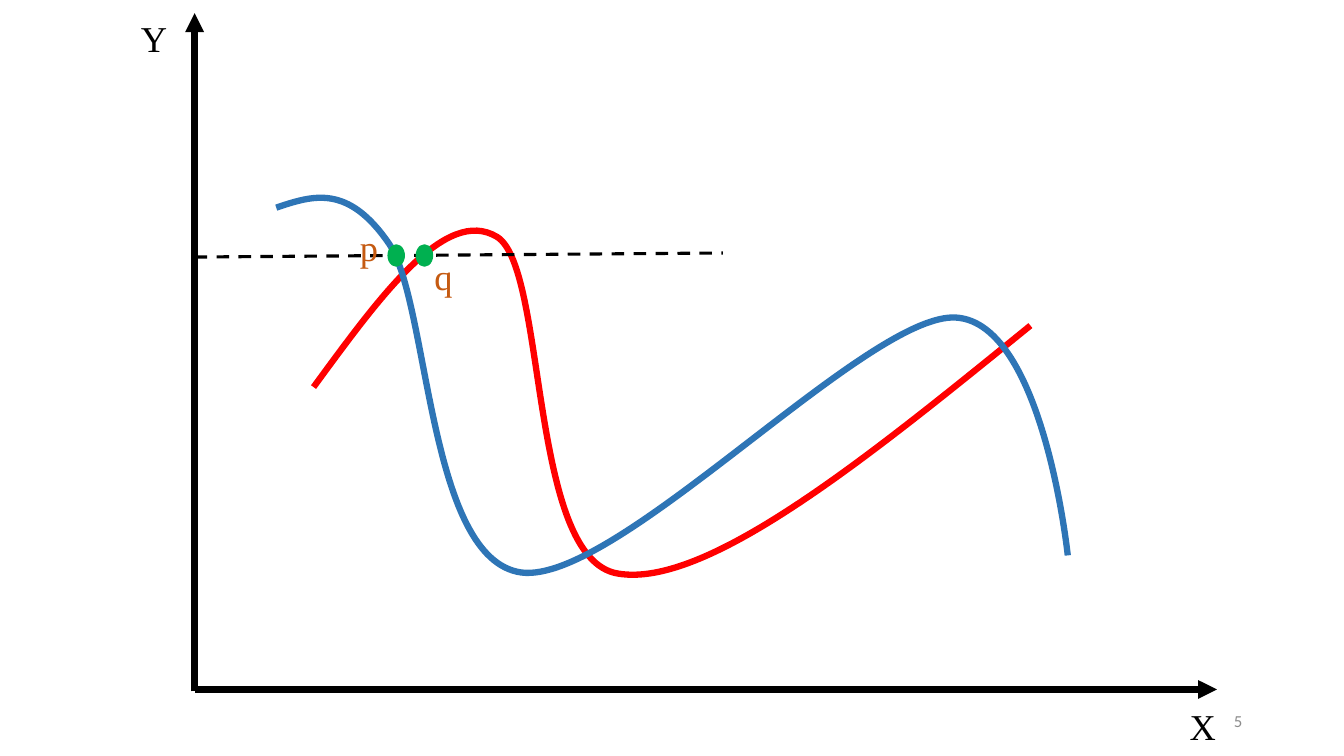
from dataclasses import dataclass

from lxml.etree import SubElement
from pptx import Presentation
from pptx.dml.color import RGBColor
from pptx.enum.dml import MSO_LINE
from pptx.enum.shapes import MSO_CONNECTOR, MSO_SHAPE
from pptx.enum.text import MSO_ANCHOR, PP_ALIGN
from pptx.oxml.ns import qn
from pptx.util import Inches, Pt


@dataclass(frozen=True)
class Theme:
    axis: str = "000000"
    first_curve: str = "FF0000"
    second_curve: str = "2E75B6"
    point: str = "00B050"
    point_label: str = "C55A11"
    muted: str = "8C8C8C"
    label_font: str = "Times New Roman"
    number_font: str = "Calibri"
    label_size: float = 26
    number_size: float = 12
    heavy_line: float = 4.5
    guide_line: float = 2.25
    point_line: float = 1


@dataclass(frozen=True)
class Box:
    left: float
    top: float
    width: float
    height: float

    def place(self, x, y):
        return Inches(self.left + x), Inches(self.top + y)


THEME = Theme()
PLOT = Box(1.93, 0.13, 10.14, 6.71)
NUMBER = Box(9.42, 6.95, 3, 0.4)
LABEL_SIZE = Inches(0.56), Inches(0.54)
POINT_SIZE = Inches(0.16), Inches(0.21)
CURVE_STEPS = 40

FIRST_CURVE = [
    (1.18, 3.71),
    (1.84, 2.81), (2.49, 1.91), (3, 2.22),
    (3.5, 2.53), (3.31, 5.42), (4.2, 5.56),
    (5.08, 5.71), (6.69, 4.4), (8.29, 3.1),
]
SECOND_CURVE = [
    (0.81, 1.93),
    (1.17, 1.81), (1.52, 1.69), (1.93, 2.29),
    (2.33, 2.89), (2.31, 5.42), (3.24, 5.55),
    (4.17, 5.67), (6.6, 3.05), (7.51, 3.02),
    (8.41, 3), (8.66, 5.38), (8.66, 5.38),
]


def add_text(slide, text, left, top, width, height, *, font, size, color,
             align=PP_ALIGN.LEFT, anchor=MSO_ANCHOR.TOP):
    shape = slide.shapes.add_textbox(left, top, width, height)
    frame = shape.text_frame
    frame.word_wrap = True
    frame.vertical_anchor = anchor
    paragraph = frame.paragraphs[0]
    paragraph.text = text
    paragraph.alignment = align
    paragraph.font.name = font
    paragraph.font.size = Pt(size)
    paragraph.font.color.rgb = RGBColor.from_string(color)


def format_line(line, color, width):
    line.color.rgb = RGBColor.from_string(color)
    line.width = Pt(width)


def add_line(slide, start, end, width, *, arrow=False, dash=None):
    connector = slide.shapes.add_connector(MSO_CONNECTOR.STRAIGHT, *start, *end)
    format_line(connector.line, THEME.axis, width)
    if dash:
        connector.line.dash_style = dash
    properties = connector._element.spPr
    if arrow:
        SubElement(properties.find(qn("a:ln")), qn("a:tailEnd"), type="triangle")
    SubElement(properties, qn("a:effectLst"))


def bezier_point(controls, t):
    weights = ((1 - t) ** 3, 3 * t * (1 - t) ** 2, 3 * t ** 2 * (1 - t), t ** 3)
    return tuple(
        round(sum(weight * value for weight, value in zip(weights, axis)))
        for axis in zip(*controls)
    )


def add_curve(slide, box, points, color):
    controls = [box.place(x, y) for x, y in points]
    starts = range(0, len(controls) - 1, 3)
    outline = [
        bezier_point(controls[start:start + 4], step / CURVE_STEPS)
        for start in starts
        for step in range(1, CURVE_STEPS + 1)
    ]
    builder = slide.shapes.build_freeform(*controls[0])
    builder.add_line_segments(outline, close=False)
    shape = builder.convert_to_shape()
    shape.shadow.inherit = False
    shape.fill.background()
    format_line(shape.line, color, THEME.heavy_line)
    geometry = next(shape._element.iter(qn("a:path")))
    for segment in geometry.findall(qn("a:lnTo")):
        geometry.remove(segment)
    for start in starts:
        bezier = SubElement(geometry, qn("a:cubicBezTo"))
        for x, y in controls[start + 1:start + 4]:
            SubElement(bezier, qn("a:pt"), x=str(x - shape.left), y=str(y - shape.top))


def add_point(slide, box, x, y):
    shape = slide.shapes.add_shape(MSO_SHAPE.OVAL, *box.place(x, y), *POINT_SIZE)
    shape.shadow.inherit = False
    shape.fill.solid()
    shape.fill.fore_color.rgb = RGBColor.from_string(THEME.point)
    format_line(shape.line, THEME.point, THEME.point_line)


def add_label(slide, box, text, x, y, color):
    add_text(slide, text, *box.place(x, y), *LABEL_SIZE,
             font=THEME.label_font, size=THEME.label_size, color=color)


def add_axes(slide, box):
    add_line(slide, box.place(0, box.height + 0.02), box.place(0, 0),
             THEME.heavy_line, arrow=True)
    add_line(slide, box.place(0, box.height), box.place(box.width, box.height),
             THEME.heavy_line, arrow=True)
    add_label(slide, box, "X", box.width - 0.37, box.height + 0.1, THEME.axis)
    add_label(slide, box, "Y", -0.63, -0.02, THEME.axis)


def add_plot(slide, box):
    add_curve(slide, box, FIRST_CURVE, THEME.first_curve)
    add_curve(slide, box, SECOND_CURVE, THEME.second_curve)
    add_axes(slide, box)
    add_line(slide, box.place(0, 2.42), box.place(5.24, 2.38),
             THEME.guide_line, dash=MSO_LINE.DASH)
    for x in (1.92, 2.2):
        add_point(slide, box, x, 2.3)
    add_label(slide, box, "q", 2.28, 2.34, THEME.point_label)
    add_label(slide, box, "p", 1.54, 2.05, THEME.point_label)


def add_slide_number(slide, box, number):
    add_text(slide, number, *box.place(0, 0), Inches(box.width), Inches(box.height),
             font=THEME.number_font, size=THEME.number_size, color=THEME.muted,
             align=PP_ALIGN.RIGHT, anchor=MSO_ANCHOR.MIDDLE)


def main():
    presentation = Presentation()
    presentation.slide_width = Inches(13.33)
    presentation.slide_height = Inches(7.5)
    slide = presentation.slides.add_slide(presentation.slide_layouts[6])
    add_slide_number(slide, NUMBER, "5")
    add_plot(slide, PLOT)
    presentation.save("out.pptx")


if __name__ == "__main__":
    main()
